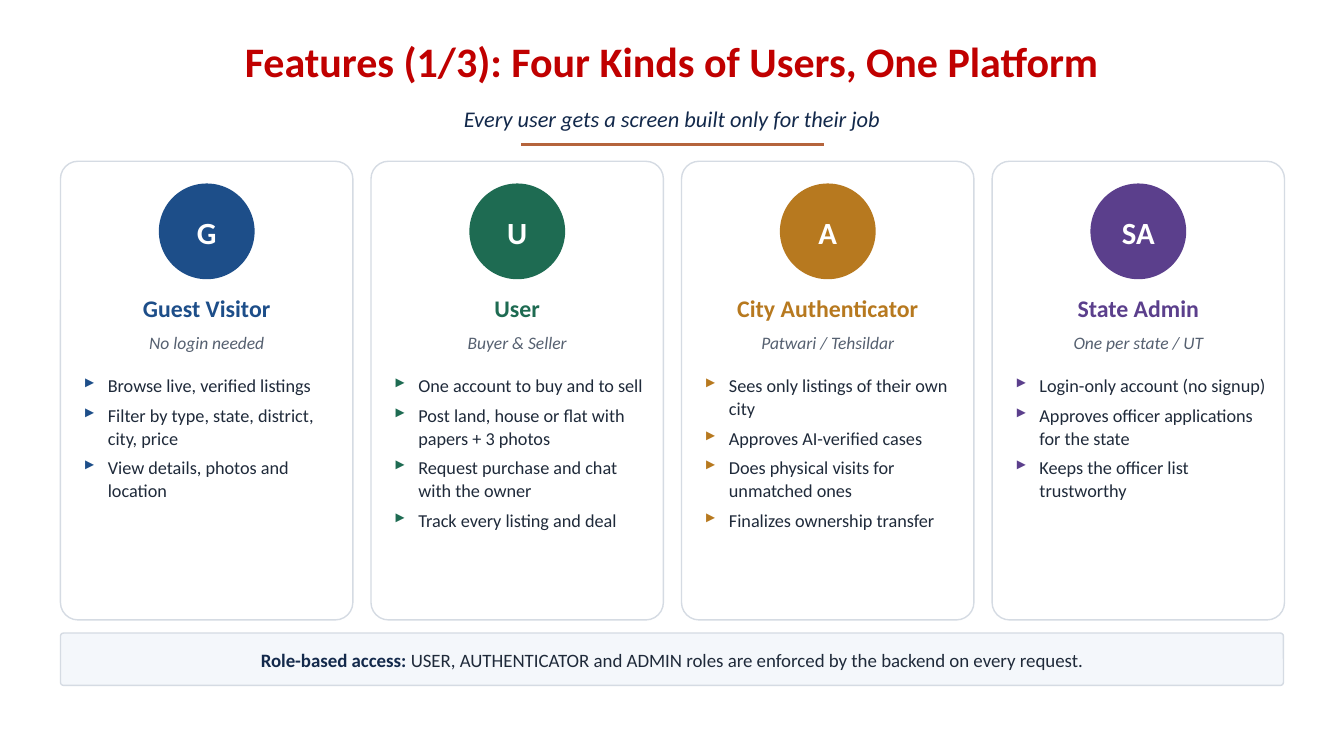
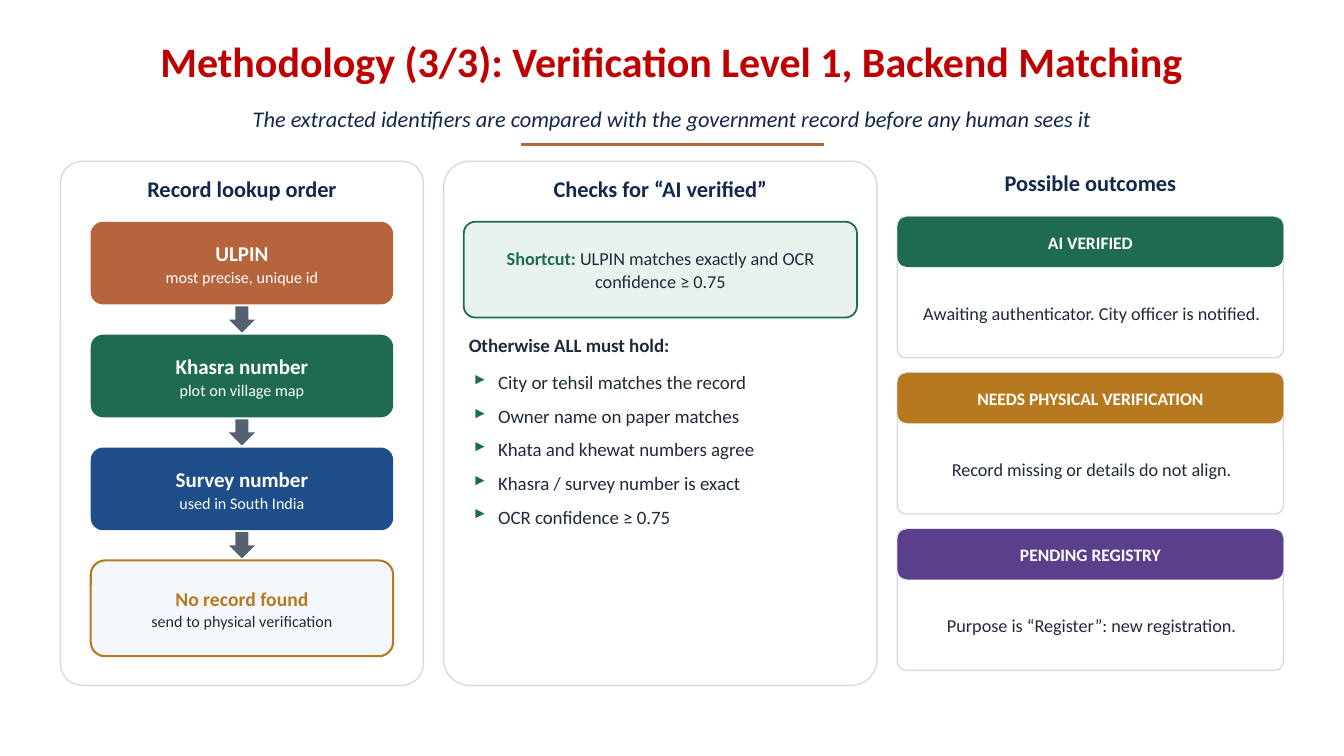
"""Build two slides on the user roles and record matching of a land platform."""
from dataclasses import dataclass

from lxml import etree
from pptx import Presentation
from pptx.dml.color import RGBColor
from pptx.enum import shapes, text
from pptx.oxml import ns
from pptx.util import Inches, Pt


@dataclass(frozen=True)
class Theme:
    font: str = "Calibri"
    red: str = "C00000"
    navy: str = "13294B"
    rust: str = "B5643C"
    blue: str = "1D4E89"
    green: str = "1E6B52"
    gold: str = "B7791F"
    purple: str = "5B3F8C"
    ink: str = "1F2A3A"
    grey: str = "556070"
    border: str = "D5DBE3"
    white: str = "FFFFFF"
    pale: str = "F4F7FB"
    mint: str = "E8F3EE"
    title: float = 30
    badge: float = 22
    role: float = 17
    heading: float = 16
    step: float = 15
    fallback: float = 14
    lead: float = 13.5
    body: float = 13
    label: float = 12.5
    small: float = 11.5


theme = Theme()
kinds = shapes.MSO_SHAPE
middle = text.MSO_ANCHOR.MIDDLE
left, center = text.PP_ALIGN.LEFT, text.PP_ALIGN.CENTER


def add_shape(page, kind, place, fill, line=None, weight=1, corner=None):
    box = page.shapes.add_shape(kind, *map(Inches, place))
    box.shadow.inherit = False
    box.fill.solid()
    box.fill.fore_color.rgb = RGBColor.from_string(fill)
    if line:
        box.line.color.rgb = RGBColor.from_string(line)
        box.line.width = Pt(weight)
    else:
        box.line.fill.background()
    if corner is not None:
        box.adjustments[0] = corner
    return box


def write(box, paragraphs, align=center, anchor=None, margin=0.05, after=6, spacing=1.05, bullet=None):
    frame = box.text_frame
    frame.word_wrap = True
    frame.margin_left = frame.margin_right = Inches(margin)
    frame.margin_top = frame.margin_bottom = Inches(margin)
    if anchor is not None:
        frame.vertical_anchor = anchor
    for index, spans in enumerate(paragraphs):
        para = frame.add_paragraph() if index else frame.paragraphs[0]
        para.alignment = align
        para.line_spacing = spacing
        para.space_after = Pt(after)
        if bullet:
            properties = para._p.get_or_add_pPr()
            properties.set("marL", str(Inches(0.24)))
            properties.set("indent", str(Inches(-0.24)))
            colour = etree.SubElement(properties, ns.qn("a:buClr"))
            etree.SubElement(colour, ns.qn("a:srgbClr"), val=bullet)
            etree.SubElement(properties, ns.qn("a:buChar"), char="▸")
        for words, size, colour, style in spans:
            span = para.add_run()
            span.text = words
            span.font.name = theme.font
            span.font.size = Pt(size)
            span.font.bold = style == "bold"
            span.font.italic = style == "italic"
            span.font.color.rgb = RGBColor.from_string(colour)


deck = Presentation()
deck.slide_width, deck.slide_height = Inches(13.33), Inches(7.5)

headers = [
    ("Features (1/3): Four Kinds of Users, One Platform",
     "Every user gets a screen built only for their job"),
    ("Methodology (3/3): Verification Level 1, Backend Matching",
     "The extracted identifiers are compared with the government record before any human sees it"),
]
pages = []
for title, subtitle in headers:
    page = deck.slides.add_slide(deck.slide_layouts[5])
    pages.append(page)
    box = page.shapes.title
    box.left, box.top, box.width, box.height = map(Inches, (0.5, 0.22, 12.33, 0.82))
    write(box, [[(title, theme.title, theme.red, "bold")]], anchor=middle, after=0, spacing=0.9)
    box = page.shapes.add_textbox(*map(Inches, (0.6, 0.98, 12.13, 0.42)))
    write(box, [[(subtitle, theme.heading, theme.navy, "italic")]])
    rule = page.shapes.add_connector(
        shapes.MSO_CONNECTOR.STRAIGHT, *map(Inches, (5.17, 1.43, 8.17, 1.43)))
    rule.line.color.rgb = RGBColor.from_string(theme.rust)
    rule.line.width = Pt(2.25)
    etree.SubElement(rule._element.spPr, ns.qn("a:effectLst"))

users_page, matching_page = pages

users = [
    ("G", "Guest Visitor", "No login needed", theme.blue,
     ["Browse live, verified listings",
      "Filter by type, state, district, city, price",
      "View details, photos and location"]),
    ("U", "User", "Buyer & Seller", theme.green,
     ["One account to buy and to sell",
      "Post land, house or flat with papers + 3 photos",
      "Request purchase and chat with the owner",
      "Track every listing and deal"]),
    ("A", "City Authenticator", "Patwari / Tehsildar", theme.gold,
     ["Sees only listings of their own city",
      "Approves AI-verified cases",
      "Does physical visits for unmatched ones",
      "Finalizes ownership transfer"]),
    ("SA", "State Admin", "One per state / UT", theme.purple,
     ["Login-only account (no signup)",
      "Approves officer applications for the state",
      "Keeps the officer list trustworthy"]),
]
card_width, card_gap, badge_size = 2.9, 0.18, 0.95
for index, (initials, role, note, colour, duties) in enumerate(users):
    x = 0.6 + index * (card_width + card_gap)
    add_shape(users_page, kinds.ROUNDED_RECTANGLE, (x, 1.6, card_width, 4.55),
              theme.white, theme.border, corner=0.06)
    badge = add_shape(users_page, kinds.OVAL,
                      (x + (card_width - badge_size) / 2, 1.82, badge_size, badge_size), colour)
    write(badge, [[(initials, theme.badge, theme.white, "bold")]], anchor=middle, margin=0, after=2)
    box = users_page.shapes.add_textbox(*map(Inches, (x + 0.1, 2.85, 2.7, 0.42)))
    write(box, [[(role, theme.role, colour, "bold")]])
    box = users_page.shapes.add_textbox(*map(Inches, (x + 0.1, 3.23, 2.7, 0.35)))
    write(box, [[(note, theme.label, theme.grey, "italic")]])
    box = users_page.shapes.add_textbox(*map(Inches, (x + 0.18, 3.65, 2.6, 2.45)))
    write(box, [[(duty, theme.body, theme.ink, "")] for duty in duties],
          align=left, after=5, bullet=colour)

banner = add_shape(users_page, kinds.ROUNDED_RECTANGLE, (0.6, 6.28, 12.13, 0.52),
                   theme.pale, theme.border, corner=0.06)
write(banner, [[
    ("Role-based access: ", theme.lead, theme.navy, "bold"),
    ("USER, AUTHENTICATOR and ADMIN roles are enforced by the backend on every request.",
     theme.lead, theme.ink, ""),
]], anchor=middle, margin=0.08, after=2)

for x, width in ((0.6, 3.6), (4.4, 4.3)):
    add_shape(matching_page, kinds.ROUNDED_RECTANGLE, (x, 1.6, width, 5.2),
              theme.white, theme.border, corner=0.06)

headings = [
    ("Record lookup order", 0.75, 1.68, 3.3),
    ("Checks for “AI verified”", 4.55, 1.68, 4),
    ("Possible outcomes", 8.9, 1.62, 3.83),
]
for heading, x, y, width in headings:
    box = matching_page.shapes.add_textbox(*map(Inches, (x, y, width, 0.42)))
    write(box, [[(heading, theme.heading, theme.navy, "bold")]])

steps = [
    ("ULPIN", "most precise, unique id", theme.rust),
    ("Khasra number", "plot on village map", theme.green),
    ("Survey number", "used in South India", theme.blue),
]
step_top, step_pitch, step_height = 2.2, 1.12, 0.82
for index, (name, note, colour) in enumerate(steps):
    y = step_top + index * step_pitch
    box = add_shape(matching_page, kinds.ROUNDED_RECTANGLE, (0.9, y, 3, step_height),
                    colour, corner=0.15)
    write(box, [[(name, theme.step, theme.white, "bold")],
                [(note, theme.small, theme.white, "")]], anchor=middle, margin=0.08, after=0)
    add_shape(matching_page, kinds.DOWN_ARROW, (2.27, y + step_height + 0.02, 0.26, 0.26), theme.grey)

fallback = add_shape(matching_page, kinds.ROUNDED_RECTANGLE,
                     (0.9, step_top + len(steps) * step_pitch, 3, 0.95),
                     theme.pale, theme.gold, 1.5, 0.15)
write(fallback, [[("No record found", theme.fallback, theme.gold, "bold")],
                 [("send to physical verification", theme.small, theme.ink, "")]],
      anchor=middle, margin=0.08, after=0)

shortcut = add_shape(matching_page, kinds.ROUNDED_RECTANGLE, (4.6, 2.2, 3.9, 0.95),
                     theme.mint, theme.green, 1.25, 0.12)
write(shortcut, [[
    ("Shortcut: ", theme.body, theme.green, "bold"),
    ("ULPIN matches exactly and OCR confidence ≥ 0.75", theme.body, theme.ink, ""),
]], anchor=middle, margin=0.08, after=2)

box = matching_page.shapes.add_textbox(*map(Inches, (4.6, 3.25, 3.9, 0.35)))
write(box, [[("Otherwise ALL must hold:", theme.lead, theme.ink, "bold")]], align=left)
checks = [
    "City or tehsil matches the record",
    "Owner name on paper matches",
    "Khata and khewat numbers agree",
    "Khasra / survey number is exact",
    "OCR confidence ≥ 0.75",
]
box = matching_page.shapes.add_textbox(*map(Inches, (4.65, 3.62, 3.85, 3.1)))
write(box, [[(check, theme.lead, theme.ink, "")] for check in checks],
      align=left, after=7, bullet=theme.green)

outcomes = [
    ("AI VERIFIED", "Awaiting authenticator. City officer is notified.", theme.green),
    ("NEEDS PHYSICAL VERIFICATION", "Record missing or details do not align.", theme.gold),
    ("PENDING REGISTRY", "Purpose is “Register”: new registration.", theme.purple),
]
for index, (status, meaning, colour) in enumerate(outcomes):
    y = 2.15 + index * 1.55
    add_shape(matching_page, kinds.ROUNDED_RECTANGLE, (8.9, y, 3.83, 1.4),
              theme.white, theme.border, corner=0.06)
    band = add_shape(matching_page, kinds.ROUNDED_RECTANGLE, (8.9, y, 3.83, 0.5), colour, corner=0.2)
    write(band, [[(status, theme.label, theme.white, "bold")]], anchor=middle, margin=0.08, after=2)
    box = matching_page.shapes.add_textbox(*map(Inches, (9.05, y + 0.55, 3.55, 0.8)))
    write(box, [[(meaning, theme.body, theme.ink, "")]], anchor=middle)

deck.save("out.pptx")
